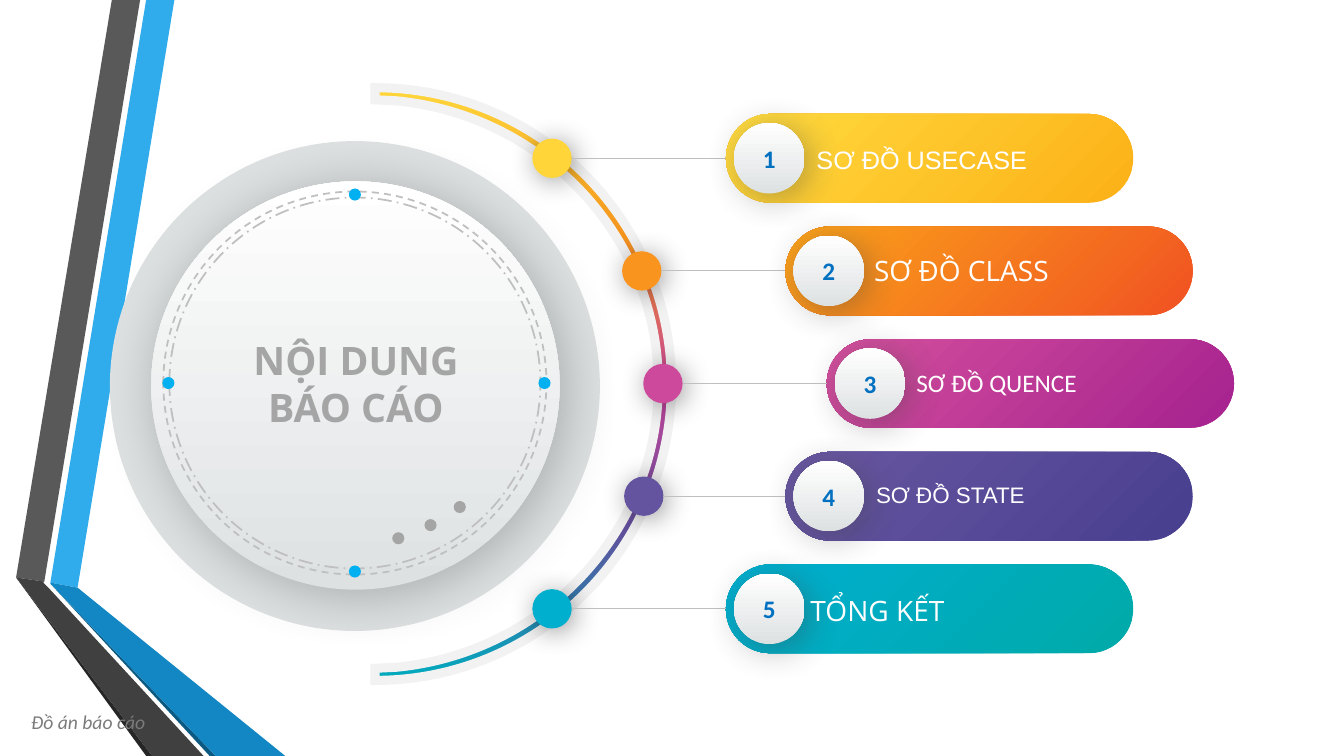
from lxml.etree import SubElement
from pptx import Presentation
from pptx.dml.color import RGBColor
from pptx.enum.dml import MSO_LINE
from pptx.enum.shapes import MSO_CONNECTOR, MSO_SHAPE
from pptx.enum.text import MSO_ANCHOR, MSO_AUTO_SIZE, PP_ALIGN
from pptx.oxml.ns import qn
from pptx.util import Inches, Pt

COLORS = {
    "white": "FFFFFF", "blue": "30ACEC", "gray": "595959", "coal": "262626",
    "navy": "0C5A82", "azure": "1287C3", "slate": "404040", "silver": "DDE1E2",
    "rule": "BFBFBF", "band": "F2F2F2", "spot": "00B0F0", "mute": "A5A5A5",
    "number": "0070C0", "footer": "7B7B7B", "black": "000000", "shade": "3F3F3F",
    "gold": "FFD539", "gold_a": "FCB117", "gold_b": "FFDB3F",
    "orange": "F9951F", "orange_a": "F05222", "orange_b": "FBA31A",
    "pink": "CC499B", "pink_a": "A6228F", "pink_b": "D3509D",
    "violet": "64539E", "violet_a": "473E8F", "violet_b": "6957A1",
    "teal": "00AECD", "teal_a": "00AAA9", "teal_b": "00AED0",
    "arc_1": "FFD63A", "arc_2": "F4941D", "arc_3": "C74399",
    "arc_4": "60509C", "arc_5": "00ACBE",
}
RIBBON = [
    ("blue", [(0.5, 5.78), (0.77, 5.83), (1.73, 0), (1.45, 0)]),
    ("gray", [(1.39, 0), (1.11, 0), (0.16, 5.73), (0.44, 5.77)]),
    ("coal", [(0.16, 5.73), (1.45, 7.5), (1.51, 7.5)]),
    ("navy", [(0.5, 5.79), (2.08, 7.5), (2.14, 7.5)]),
    ("azure", [(0.5, 5.79), (2.14, 7.5), (2.83, 7.5), (0.77, 5.83), (0.5, 5.78)]),
    ("slate", [(2.02, 7.5), (0.48, 5.83), (0.43, 5.78), (0.44, 5.77),
               (0.16, 5.73), (1.51, 7.5)]),
]
BOW = [(3.72, 0.87), (6.66, 3.81), (3.72, 6.75), (3.72, 6.63), (3.93, 6.62),
       (6.53, 3.81), (3.93, 1), (3.72, 0.99)]
BENDS = {
    1: [(5.35, 0.87), (6.66, 2.19)],
    2: [(6.66, 5.43), (5.35, 6.75)],
    5: [(5.39, 6.48), (6.53, 5.27)],
    6: [(6.53, 2.35), (5.39, 1.14)],
}
ROWS = [
    ("gold", 5.28, 7.2),
    ("orange", 6.17, 7.79),
    ("pink", 6.38, 8.2),
    ("violet", 6.19, 7.79),
    ("teal", 5.28, 7.2),
]
LABELS = [
    (8, 1.38, 3.23, 0.4, "SƠ ĐỒ USECASE", "Arial", 18),
    (8.57, 2.47, 2.85, 0.44, "SƠ ĐỒ CLASS", "Open Sans", 20),
    (8.99, 3.59, 2.85, 0.4, "SƠ ĐỒ QUENCE", "Calibri", 18),
    (8.59, 4.72, 2.85, 0.37, "SƠ ĐỒ STATE", "Arial", 16),
    (7.94, 5.84, 2.85, 0.44, "TỔNG KẾT", "Open Sans", 20),
]
FIRST, LAST = 1.57, 6.04
DOT = 0.39


def rgb(name):
    """Return the named colour."""
    return RGBColor.from_string(COLORS[name])


def paint(shape, fill=None, angle=90, line=None, width=1, dash=None, shadow=None):
    """Set a shape's fill or gradient, its outline and its shadow."""
    shape.shadow.inherit = False
    if isinstance(fill, list):
        shape.fill.gradient()
        shape.fill.gradient_angle = angle
        stops = shape.element.spPr.find(".//" + qn("a:gsLst"))
        stops.clear()
        for i, name in enumerate(fill):
            stop = SubElement(stops, qn("a:gs"), pos=str(100000 * i // (len(fill) - 1)))
            SubElement(stop, qn("a:srgbClr"), val=COLORS[name])
    elif fill:
        shape.fill.solid()
        shape.fill.fore_color.rgb = rgb(fill)
    else:
        shape.fill.background()
    if line:
        shape.line.color.rgb = rgb(line)
        shape.line.width = Pt(width)
        if dash:
            shape.line.dash_style = dash
    else:
        shape.line.fill.background()
    if shadow:
        name, blur, dist = shadow
        node = SubElement(
            shape.element.spPr.find(qn("a:effectLst")), qn("a:outerShdw"),
            blurRad=str(Pt(blur)), dist=str(Pt(dist)), dir="2700000",
            algn="tl", rotWithShape="0")
        tint = SubElement(node, qn("a:srgbClr"), val=COLORS[name])
        SubElement(tint, qn("a:alpha"), val="40000")
    return shape


def write(shape, text, font="Calibri", size=18, color="white", bold=False,
          italic=False, align=PP_ALIGN.LEFT, anchor=MSO_ANCHOR.TOP):
    """Put formatted text in a shape."""
    frame = shape.text_frame
    frame.word_wrap = True
    frame.auto_size = MSO_AUTO_SIZE.NONE
    frame.vertical_anchor = anchor
    frame.margin_left = frame.margin_right = Inches(0.1)
    frame.margin_top = frame.margin_bottom = Inches(0.05)
    para = frame.paragraphs[0]
    para.text = text
    para.alignment = align
    para.line_spacing = 1.0
    face = para.font
    face.name, face.size = font, Pt(size)
    face.bold, face.italic = bold, italic
    face.color.rgb = rgb(color)


def label(slide, x, y, w, h, text, font, size, **style):
    """Add a text box."""
    box = slide.shapes.add_textbox(Inches(x), Inches(y), Inches(w), Inches(h))
    write(box, text, font=font, size=size, **style)


def disc(slide, x, y, size, **look):
    """Add a circle by its left, top and size."""
    shape = slide.shapes.add_shape(
        MSO_SHAPE.OVAL, Inches(x), Inches(y), Inches(size), Inches(size))
    return paint(shape, **look)


def patch(slide, points, **look):
    """Add a closed outline through the points."""
    spots = [(Inches(x), Inches(y)) for x, y in points]
    build = slide.shapes.build_freeform(*spots[0])
    build.add_line_segments(spots[1:], close=True)
    return paint(build.convert_to_shape(), **look)


def link(slide, start, end, y):
    """Add a level thin line."""
    line = slide.shapes.add_connector(
        MSO_CONNECTOR.STRAIGHT, Inches(start), Inches(y), Inches(end), Inches(y))
    line.line.color.rgb = rgb("rule")
    line.line.width = Pt(0.75)
    SubElement(line.element.spPr, qn("a:effectLst"))


def bow(slide):
    """Add the coloured half ring, with its round sides as curves."""
    shape = patch(slide, BOW, fill=[f"arc_{i}" for i in range(1, 6)],
                  angle=270, line="band", width=6.5)
    sides = shape.element.spPr.findall(".//" + qn("a:lnTo"))
    left, top = BOW[0]
    for i, grips in BENDS.items():
        side = sides[i - 1]
        curve = side.makeelement(qn("a:cubicBezTo"))
        for x, y in grips:
            SubElement(curve, qn("a:pt"), x=str(Inches(x - left)), y=str(Inches(y - top)))
        curve.append(side[0])
        side.getparent().replace(side, curve)
    SubElement(shape.element.spPr.find(qn("a:ln")), qn("a:miter"), lim="800000")


def bar(slide, x, y, hue):
    """Add one rounded bar."""
    shape = slide.shapes.add_shape(
        MSO_SHAPE.ROUNDED_RECTANGLE, Inches(x), Inches(y), Inches(4.04), Inches(0.88))
    shape.adjustments[0] = 0.5
    paint(shape, fill=[hue + "_a", hue + "_b"], angle=135)


def rows(slide):
    """Add bars, half ring, dots, links and numbers, layer by layer."""
    step = (LAST - FIRST) / (len(ROWS) - 1)
    items = [(FIRST + i * step, *row) for i, row in enumerate(ROWS)]
    for y, hue, dot, left in items:
        bar(slide, left, y - 0.44, hue)
    bow(slide)
    for y, hue, dot, left in items:
        disc(slide, dot, y - DOT / 2, DOT, fill=hue, shadow=("black", 20, 3))
    for y, hue, dot, left in items:
        link(slide, dot + DOT, left, y)
    for rank, (y, hue, dot, left) in enumerate(items, 1):
        badge = disc(slide, left + 0.08, y - 0.35, 0.7, fill=["silver", "white"],
                     shadow=("shade", 26, 5))
        write(badge, str(rank), color="number", bold=True,
              align=PP_ALIGN.CENTER, anchor=MSO_ANCHOR.MIDDLE)


def hub(slide):
    """Add the dashed rings and small dots of the big disc."""
    disc(slide, 1.62, 1.9, 3.8, line="rule", width=1.25, dash=MSO_LINE.DASH)
    disc(slide, 1.68, 1.96, 3.68, line="rule", width=1.25,
         dash=MSO_LINE.LONG_DASH_DOT)
    for x, y in ((3.46, 1.87), (3.46, 5.61), (5.34, 3.74), (1.61, 3.74)):
        disc(slide, x, y, 0.12, fill="spot")
    for x, y in ((3.89, 5.28), (4.21, 5.15), (4.5, 4.97)):
        disc(slide, x, y, 0.12, fill="mute")


def head(slide, text):
    """Place the title in front, on the big disc."""
    title = slide.shapes.title
    title.left, title.top = Inches(2.33), Inches(3.29)
    title.width, title.height = Inches(2.4), Inches(1.04)
    write(title, text, font="Open Sans", size=28, color="mute", bold=True,
          align=PP_ALIGN.CENTER)
    title.element.getparent().append(title.element)


def main():
    """Build and save the slide."""
    deck = Presentation()
    deck.slide_width, deck.slide_height = Inches(13.33), Inches(7.5)
    slide = deck.slides.add_slide(deck.slide_layouts[5])
    for fill, points in RIBBON:
        patch(slide, points, fill=fill)
    disc(slide, 1.09, 1.4, 4.86, fill="silver")
    disc(slide, 1.5, 1.8, 4.05, fill=["silver", "white"], shadow=("gray", 40, 6))
    rows(slide)
    hub(slide)
    head(slide, "NỘI DUNG BÁO CÁO")
    for item in LABELS:
        label(slide, *item)
    label(slide, 0.21, 6.99, 1.54, 0.34, "Đồ án báo cáo", "Calibri", 14,
          color="footer", italic=True)
    deck.save("out.pptx")


if __name__ == "__main__":
    main()
